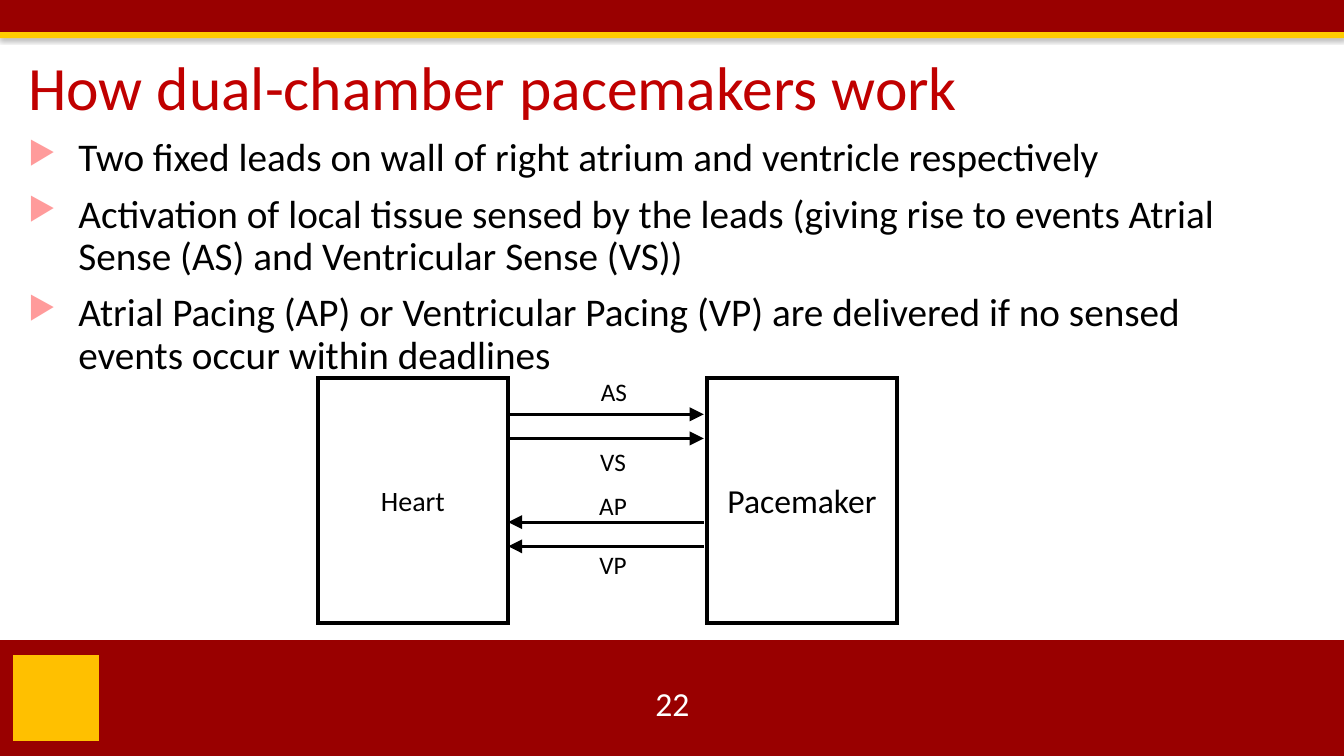
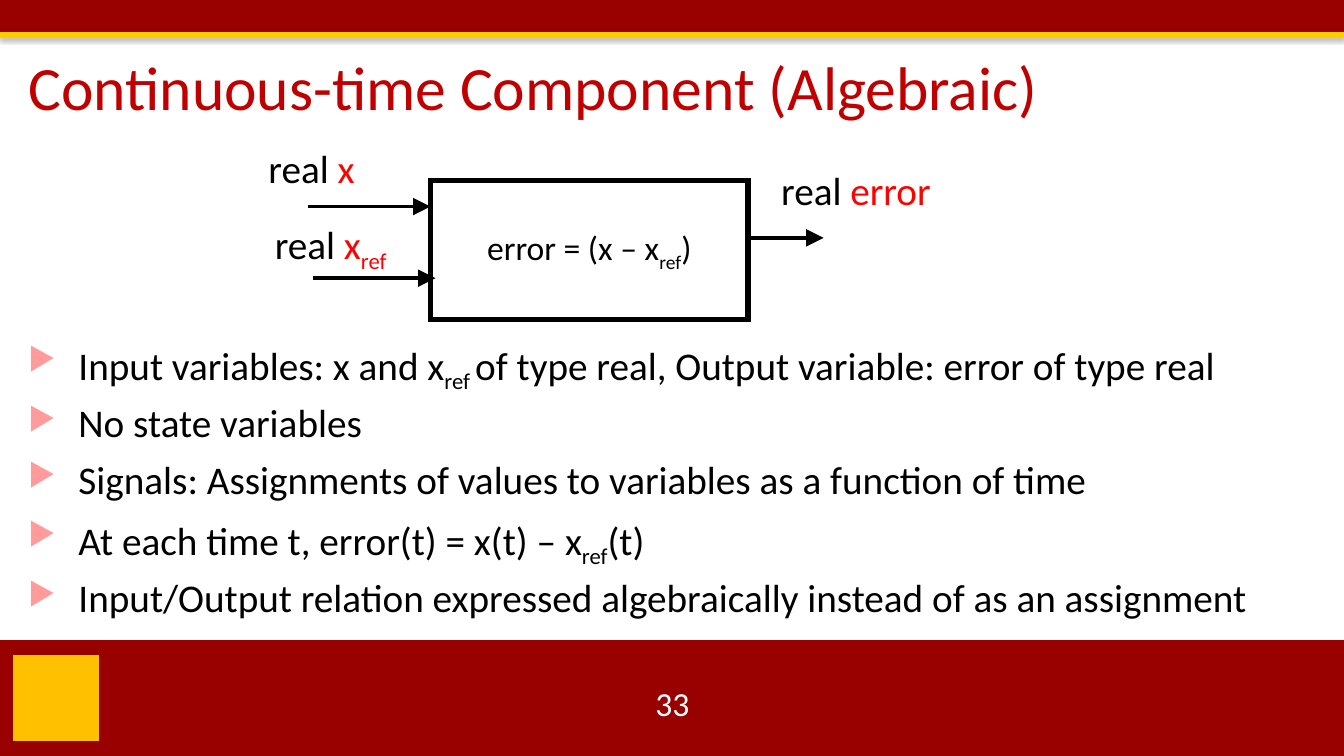
from lxml import etree
from pptx import Presentation
from pptx.dml.color import RGBColor
from pptx.enum.shapes import MSO_CONNECTOR as LINK, MSO_SHAPE as SHAPE
from pptx.enum.text import MSO_ANCHOR as ANCHOR, MSO_AUTO_SIZE as FIT, PP_ALIGN as ALIGN
from pptx.oxml import parse_xml
from pptx.oxml.ns import nsdecls, qn
from pptx.util import Inches, Pt

BLACK = RGBColor(0, 0, 0)
WHITE = RGBColor(255, 255, 255)
RED = RGBColor(255, 0, 0)
CRIMSON = RGBColor(0xC0, 0, 0)
MAROON = RGBColor(0x99, 0, 0)
GOLD = RGBColor(0xFF, 0xCC, 0)
AMBER = RGBColor(0xFF, 0xC0, 0)
PINK = RGBColor(0xFF, 0x9B, 0x9B)

SUB = {"sub": True}
HOT = {"color": RED}

# Place and colour of the bands and the plain badge in the footer
BANDS = [
    ((0, 6.35, 13.33, 1.15), MAROON),
    ((0, 0, 13.33, 0.33), MAROON),
    ((0, 0.32, 13.33, 0.06), GOLD),
    ((0.13, 6.5, 0.85, 0.85), AMBER),
]
BULLET = [
    f'<a:buClr {nsdecls("a")}><a:srgbClr val="{PINK}"/></a:buClr>',
    f'<a:buSzPct {nsdecls("a")} val="80000"/>',
    f'<a:buChar {nsdecls("a")} char="▶"/>',
]
SHADOW = (
    f'<a:outerShdw {nsdecls("a")} blurRad="{Pt(3.1)}" dist="{Pt(1.6)}" dir="5400000" '
    'rotWithShape="0"><a:srgbClr val="000000"><a:alpha val="38000"/></a:srgbClr></a:outerShdw>'
)

# Boxes: place, line width, text size, runs. Arrows: start, end, level.
# Labels: place, runs.
HEART, PACER = 5.04, 6.98
PAGES = [
    {
        "title": "How dual-chamber pacemakers work",
        "number": "22",
        "place": (0.18, 1.32, 12.13, 2.72),
        "points": [
            ["Two fixed leads on wall of right atrium and ventricle respectively"],
            ["Activation of local tissue sensed by the leads (giving rise to events "
             "Atrial Sense (AS) and Ventricular Sense (VS))"],
            ["Atrial Pacing (AP) or Ventricular Pacing (VP) are delivered if no sensed "
             "events occur within deadlines"],
        ],
        "boxes": [
            ((3.15, 3.75, 1.89, 2.43), 2.75, 20, ["Heart"]),
            ((7.01, 3.75, 1.89, 2.43), 2.75, 24, ["Pacemaker"]),
        ],
        "weight": 2,
        "arrows": [(HEART, PACER, 4.11), (HEART, PACER, 4.35),
                   (PACER, HEART, 5.18), (PACER, HEART, 5.42)],
        "size": 18,
        "labels": [
            ((5.86, 3.68, 0.46, 0.4), ["AS"]),
            ((5.85, 4.38, 0.46, 0.4), ["VS"]),
            ((5.84, 4.82, 0.48, 0.4), ["AP"]),
            ((5.84, 5.4, 0.48, 0.4), ["VP"]),
        ],
    },
    {
        "title": "Continuous-time Component (Algebraic)",
        "number": "33",
        "place": (0.18, 3.34, 12.79, 2.88),
        "points": [
            ["Input variables: x and x", ("ref ", SUB),
             "of type real, Output variable: error of type real"],
            ["No state variables"],
            ["Signals: Assignments of values to variables as a function of time"],
            ["At each time t, error(t) = x(t) – x", ("ref", SUB), "(t)"],
            ["Input/Output relation expressed algebraically instead of as an assignment"],
        ],
        "boxes": [((4.27, 1.79, 3.15, 1.38), 4, 24, ["error = (x – x", ("ref", SUB), ")"])],
        "weight": 2.5,
        "arrows": [(7.45, 8.17, 2.36), (3.05, 4.27, 2.05), (3.1, 4.32, 2.76)],
        "size": 28,
        "labels": [
            ((2.56, 1.38, 1.06, 0.57), ["real ", ("x", HOT)]),
            ((2.6, 2.14, 1.36, 0.57), ["real ", ("x", HOT), ("ref", {**HOT, **SUB})]),
            ((7.64, 1.6, 1.7, 0.57), ["real ", ("error", HOT)]),
        ],
    },
]


def write(para, runs, size, color=BLACK, align=ALIGN.LEFT):
    """Fill a paragraph; a run is a string or a (string, style) pair."""
    para.alignment = align
    for item in runs:
        text, style = (item, {}) if isinstance(item, str) else item
        run = para.add_run()
        run.text = text
        run.font.name = "Calibri"
        run.font.size = Pt(size)
        run.font.color.rgb = style.get("color", color)
        if style.get("sub"):
            run.font._element.set("baseline", "-25000")


def add_text(slide, place, wrap=True):
    frame = slide.shapes.add_textbox(*map(Inches, place)).text_frame
    frame.word_wrap = wrap
    return frame


deck = Presentation()
deck.slide_width, deck.slide_height = Inches(13.33), Inches(7.5)

for page in PAGES:
    slide = deck.slides.add_slide(deck.slide_layouts[5])

    # Bands
    for place, color in BANDS:
        band = slide.shapes.add_shape(SHAPE.RECTANGLE, *map(Inches, place))
        band.fill.solid()
        band.fill.fore_color.rgb = color
        band.line.fill.background()
        band.shadow.inherit = False
        if color == GOLD:
            band._element.spPr.find(qn("a:effectLst")).append(parse_xml(SHADOW))

    # Title and page number
    title = slide.shapes.title
    title.left, title.top = Inches(0.18), Inches(0.47)
    title.width, title.height = Inches(11.94), Inches(0.85)
    frame = title.text_frame
    frame.auto_size = FIT.NONE
    frame.vertical_anchor = ANCHOR.MIDDLE
    frame.paragraphs[0].line_spacing = 0.9
    write(frame.paragraphs[0], [page["title"]], 44, CRIMSON)
    frame = add_text(slide, (5.17, 6.78, 3, 0.4))
    frame.vertical_anchor = ANCHOR.MIDDLE
    write(frame.paragraphs[0], [page["number"]], 24, WHITE, ALIGN.CENTER)

    # Bullet points
    frame = add_text(slide, page["place"])
    for i, runs in enumerate(page["points"]):
        para = frame.add_paragraph() if i else frame.paragraphs[0]
        para.line_spacing = 0.9
        para.space_before = Pt(10 if i else 0)
        props = para._p.get_or_add_pPr()
        props.set("marL", str(Inches(0.5)))
        props.set("indent", str(Inches(-0.5)))
        for part in BULLET:
            props.append(parse_xml(part))
        write(para, runs, 28)

    # Diagram
    for place, width, size, runs in page["boxes"]:
        box = slide.shapes.add_shape(SHAPE.RECTANGLE, *map(Inches, place))
        box.fill.solid()
        box.fill.fore_color.rgb = WHITE
        box.line.color.rgb = BLACK
        box.line.width = Pt(width)
        etree.SubElement(box._element.spPr.find(qn("a:ln")), qn("a:miter"), lim="800000")
        box.shadow.inherit = False
        box.text_frame.word_wrap = True
        box.text_frame.vertical_anchor = ANCHOR.MIDDLE
        write(box.text_frame.paragraphs[0], runs, size, align=ALIGN.CENTER)
    for start, end, level in page["arrows"]:
        arrow = slide.shapes.add_connector(
            LINK.STRAIGHT, Inches(start), Inches(level), Inches(end), Inches(level))
        arrow.line.color.rgb = BLACK
        arrow.line.width = Pt(page["weight"])
        props = arrow._element.spPr
        etree.SubElement(props.find(qn("a:ln")), qn("a:tailEnd"),
                         type="triangle", w="lg", len="lg")
        etree.SubElement(props, qn("a:effectLst"))
    for place, runs in page["labels"]:
        frame = add_text(slide, place, wrap=False)
        write(frame.paragraphs[0], runs, page["size"], align=ALIGN.CENTER)

deck.save("out.pptx")
